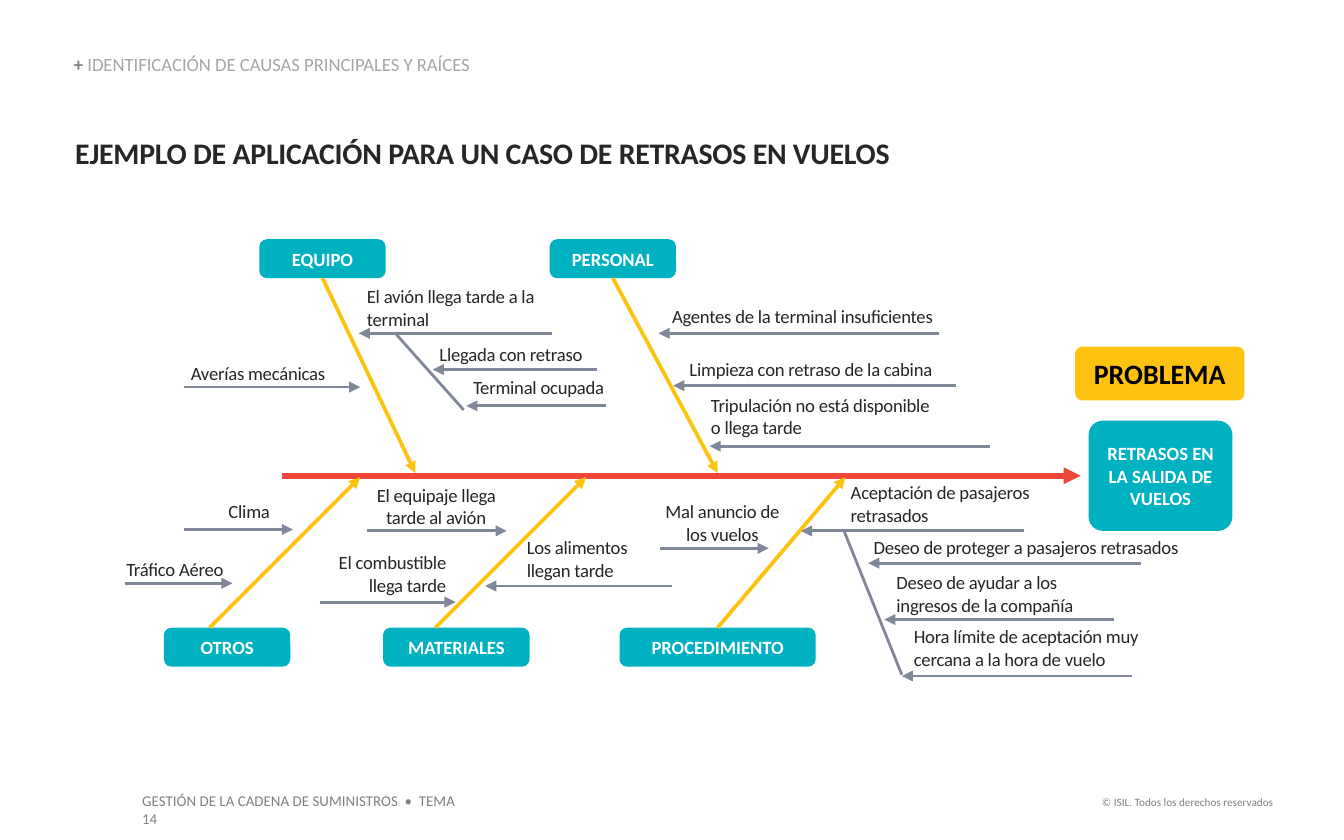
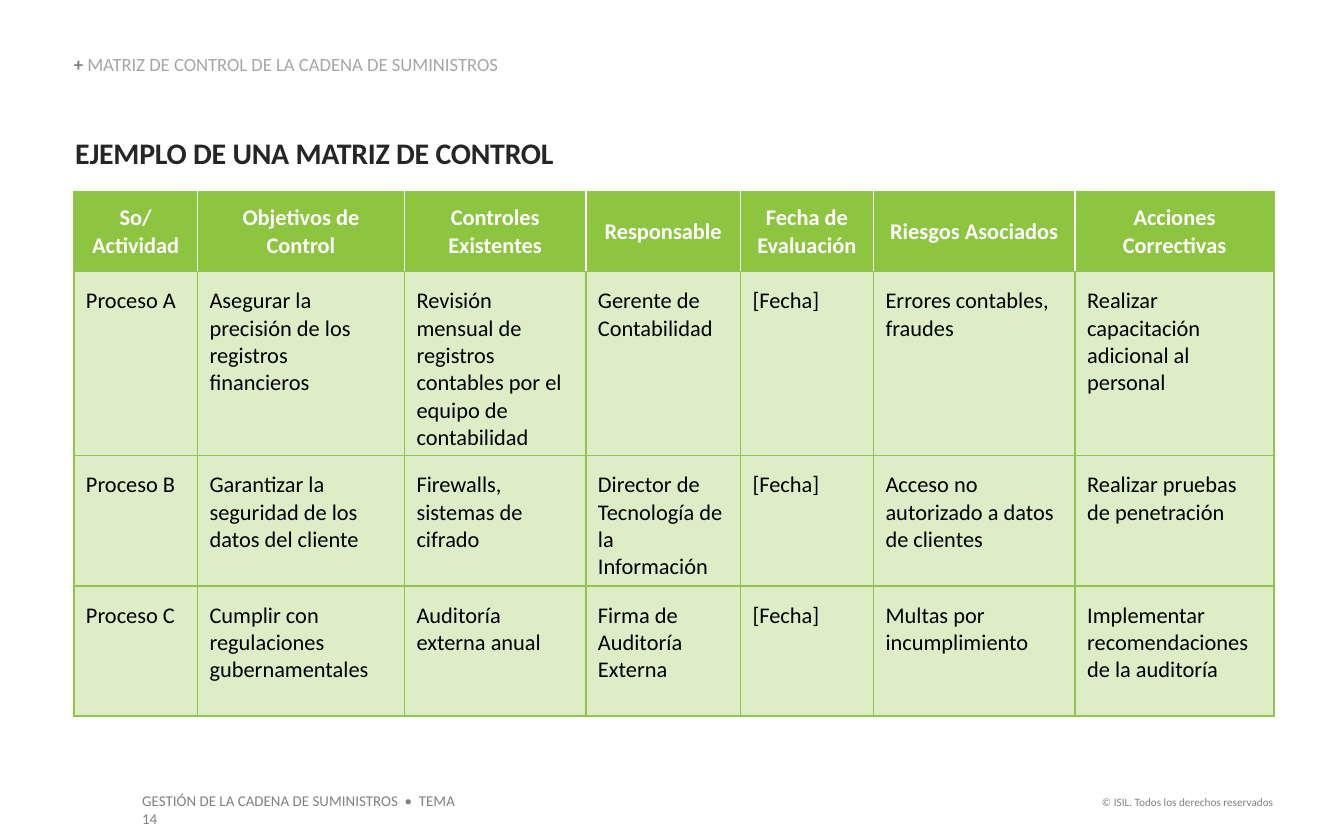
from lxml.etree import SubElement
from pptx import Presentation
from pptx.dml.color import RGBColor
from pptx.enum.shapes import MSO_CONNECTOR, MSO_SHAPE
from pptx.enum.text import MSO_ANCHOR, MSO_AUTO_SIZE, PP_ALIGN
from pptx.oxml.ns import qn
from pptx.util import Inches, Pt

COLORS = {
    "white": "FFFFFF", "black": "000000", "ink": "262626", "gray": "808080",
    "light_gray": "A6A6A6", "teal": "00B1C2", "yellow": "FEC211", "red": "EE4639",
    "slate": "808799", "header": "8EC540", "body": "DDEEC7", "border": "92C34D",
}
FONT = "Calibri"
CELL = Inches(0.1)
COLUMNS, ROWS = 100, 62.5
MARGIN = 5.5
LINE_HEIGHT = 1.7
LEFT, CENTER, RIGHT = PP_ALIGN.LEFT, PP_ALIGN.CENTER, PP_ALIGN.RIGHT

COURSE = "GESTIÓN DE LA CADENA DE SUMINISTROS  •  TEMA 14"
COPYRIGHT = "© ISIL. Todos los derechos reservados"
FISHBONE = ("IDENTIFICACIÓN DE CAUSAS PRINCIPALES Y RAÍCES",
            "EJEMPLO DE APLICACIÓN PARA UN CASO DE RETRASOS EN VUELOS")
MATRIX = ("MATRIZ DE CONTROL DE LA CADENA DE SUMINISTROS",
          "EJEMPLO DE UNA MATRIZ DE CONTROL")

SPINE_ROW = 35.4
SPINE = (21, SPINE_ROW, 80.4, SPINE_ROW)
EFFECTS = [
    ("RETRASOS EN LA SALIDA DE VUELOS", (81, 31.3, 10.7, 8.2), "teal", "white", 10),
    ("PROBLEMA", (80, 25.8, 12.6, 4), "yellow", "black", 15),
]
UPPER_ROW, LOWER_ROW, CATEGORY_HEIGHT = 17.8, 46.7, 2.9
# name, left, row, width, branch start column (None = middle of the side), branch end column
CATEGORIES = [
    ("EQUIPO", 19.3, UPPER_ROW, 9.4, None, 30.9),
    ("PERSONAL", 40.9, UPPER_ROW, 9.4, None, 53.4),
    ("OTROS", 12.2, LOWER_ROW, 9.4, 15.6, 26.8),
    ("MATERIALES", 28.5, LOWER_ROW, 10.9, 32.4, 43.6),
    ("PROCEDIMIENTO", 46.1, LOWER_ROW, 14.6, None, 62.9),
]
CAUSES = [
    (["Averías mecánicas"], LEFT, (14.1, 26.9, 13.9), (13.7, 26.8, 28.8)),
    (["El avión llega tarde a la terminal"], LEFT, (27.2, 21.2, 13.9), (41.1, 26.7, 24.8)),
    (["Llegada con retraso"], LEFT, (32.6, 25.5, 13.9), (44.4, 32.2, 27.5)),
    (["Terminal ocupada"], LEFT, (35.1, 28, 13.9), (45.1, 34.7, 30.2)),
    (["Agentes de la terminal insuficientes"], LEFT, (49.9, 22.7, 20.8), (69.9, 49, 24.8)),
    (["Limpieza con retraso de la cabina"], LEFT, (51.2, 26.6, 20.8), (71.1, 50.1, 28.7)),
    (["Tripulación no está disponible", "o llega tarde"], LEFT,
     (52.8, 29.3, 20.8), (73.7, 52.8, 33.2)),
    (["Clima"], LEFT, (16.9, 37.2, 4.1), (13.7, 21.8, 39.4)),
    (["Tráfico Aéreo"], LEFT, (9.3, 41.5, 7.6), (9.3, 17.3, 43.4)),
    (["El equipaje llega tarde al avión"], CENTER, (27.7, 36, 9.4), (27.3, 37.7, 39.5)),
    (["El combustible", "llega tarde"], RIGHT, (23.8, 41, 9.4), (23.8, 33.9, 44.8)),
    (["Los alimentos", "llegan tarde"], LEFT, (39.1, 39.9, 9.4), (50, 36.1, 43.6)),
    (["Mal anuncio de", "los vuelos"], CENTER, (49, 37.2, 9.4), (49.1, 57.2, 40.8)),
    (["Aceptación de pasajeros", "retrasados"], LEFT, (63.2, 35.8, 15.8), (76.2, 59.6, 39.5)),
    (["Deseo de proteger a pasajeros retrasados"], LEFT,
     (64.9, 39.9, 23.9), (84.9, 64.6, 41.9)),
    (["Deseo de ayudar a los ingresos de la compañía"], LEFT,
     (66.6, 42.5, 14.5), (82.9, 65.8, 46.1)),
    (["Hora límite de aceptación muy cercana a la hora de vuelo"], LEFT,
     (67.9, 46.5, 17.7), (84.2, 67.1, 50.3)),
]
SUB_BRANCHES = [(62.8, 39.5, 67.1, 50.2), (29.5, 24.9, 34.5, 30.5)]

TABLE_COLUMNS = [9.2, 15.4, 13.5, 11.5, 9.9, 15, 14.8]
TABLE_ROWS = [5.9, 13.6, 9.7, 9.7]
TABLE = [
    [["So/", "Actividad"], "Objetivos de Control", "Controles Existentes", "Responsable",
     "Fecha de Evaluación", "Riesgos Asociados", "Acciones Correctivas"],
    ["Proceso A", "Asegurar la precisión de los registros financieros",
     "Revisión mensual de registros contables por el equipo de contabilidad",
     "Gerente de Contabilidad", "[Fecha]", "Errores contables, fraudes",
     "Realizar capacitación adicional al personal"],
    ["Proceso B", "Garantizar la seguridad de los datos del cliente",
     "Firewalls, sistemas de cifrado", "Director de Tecnología de la Información",
     "[Fecha]", "Acceso no autorizado a datos de clientes",
     "Realizar pruebas de penetración"],
    ["Proceso C", "Cumplir con regulaciones gubernamentales", "Auditoría externa anual",
     "Firma de Auditoría Externa", "[Fecha]", "Multas por incumplimiento",
     "Implementar recomendaciones de la auditoría"],
]


def grid(*values):
    return [round(value * CELL) for value in values]


def rgb(name):
    return RGBColor.from_string(COLORS[name])


def write(frame, lines, size=10, color="ink", bold=False, align=LEFT, spacing=None,
          indent=0, line_spacing=None):
    lines = [lines] if isinstance(lines, str) else lines
    for index, line in enumerate(lines):
        paragraph = frame.paragraphs[0] if index == 0 else frame.add_paragraph()
        paragraph.alignment = align
        if line_spacing:
            paragraph.line_spacing = line_spacing
        if indent:
            properties = paragraph._p.get_or_add_pPr()
            properties.set("marL", str(Inches(indent)))
            properties.set("indent", "0")
        pieces = [(line, color, bold)] if isinstance(line, str) else line
        for text, run_color, run_bold in pieces:
            run = paragraph.add_run()
            run.text = text
            run.font.name, run.font.size, run.font.bold = FONT, Pt(size), run_bold
            run.font.color.rgb = rgb(run_color)
            if spacing:
                run._r.get_or_add_rPr().set("spc", str(round(spacing * 100)))


def set_frame(frame, anchor=MSO_ANCHOR.TOP, inset=True):
    frame.word_wrap = True
    frame.auto_size = MSO_AUTO_SIZE.SHAPE_TO_FIT_TEXT
    frame.vertical_anchor = anchor
    if not inset:
        frame.margin_left = frame.margin_top = frame.margin_right = frame.margin_bottom = 0


def add_text(slide, box, lines, anchor=MSO_ANCHOR.TOP, inset=False, **text_format):
    frame = slide.shapes.add_textbox(*grid(*box)).text_frame
    set_frame(frame, anchor, inset)
    write(frame, lines, **text_format)


def add_box(slide, box, text, fill="teal", color="white", size=10, corner=0.19):
    shape = slide.shapes.add_shape(MSO_SHAPE.ROUNDED_RECTANGLE, *grid(*box))
    shape.adjustments[0] = corner
    shape.shadow.inherit = False
    shape.fill.solid()
    shape.fill.fore_color.rgb = rgb(fill)
    shape.line.fill.background()
    shape.text_frame.word_wrap = True
    shape.text_frame.vertical_anchor = MSO_ANCHOR.MIDDLE
    write(shape.text_frame, text, size=size, color=color, bold=True, align=CENTER)
    return shape


def add_line(slide, ends, color="slate", width=1.5, arrow=True):
    connector = slide.shapes.add_connector(MSO_CONNECTOR.STRAIGHT, *grid(*ends))
    connector.line.color.rgb = rgb(color)
    connector.line.width = Pt(width)
    if arrow:
        SubElement(connector.line._get_or_add_ln(), qn("a:tailEnd"), type="triangle")
    SubElement(connector._element.spPr, qn("a:effectLst"))
    return connector


def add_slide(presentation, section, heading):
    slide = presentation.slides.add_slide(presentation.slide_layouts[5])
    title = slide.shapes.title
    title.left, title.top, title.width, title.height = grid(MARGIN, 10, 85, 2.7)
    set_frame(title.text_frame, inset=False)
    write(title.text_frame, heading, size=16, bold=True, spacing=-0.1, indent=0.01)
    add_text(slide, (MARGIN, 4.1, 46.5, 1.5),
             [[("+ ", "gray", True), (section, "light_gray", False)]],
             anchor=MSO_ANCHOR.BOTTOM, line_spacing=0.9)
    add_text(slide, (78.8, 58.7, 16.9, 2), COPYRIGHT, inset=True, size=6, color="gray",
             align=RIGHT)
    add_text(slide, (9.6, 58.4, 26, 2.4), COURSE, inset=True, size=8, color="gray")
    return slide


def add_category(slide, name, left, row, width, start, end):
    box = add_box(slide, (left, row, width, CATEGORY_HEIGHT), name)
    upper = row < SPINE_ROW
    edge = row + CATEGORY_HEIGHT if upper else row
    tip = SPINE_ROW + (-0.2 if upper else 0.1)
    middle = left + width / 2
    branch = add_line(slide, (start or middle, edge, end, tip), "yellow", 2)
    if start is None:
        branch.begin_connect(box, 2 if upper else 0)


def build_fishbone(presentation):
    slide = add_slide(presentation, *FISHBONE)
    add_line(slide, SPINE, "red", 3)
    for category in CATEGORIES:
        add_category(slide, *category)
    for lines, align, (left, top, width), (start, end, row) in CAUSES:
        add_text(slide, (left, top, width, LINE_HEIGHT * len(lines)), lines, align=align,
                 spacing=-0.1, indent=0.01)
        add_line(slide, (start, row, end, row))
    for ends in SUB_BRANCHES:
        add_line(slide, ends, arrow=False)
    for text, box, fill, color, size in EFFECTS:
        add_box(slide, box, text, fill, color, size, corner=0.13)


def set_borders(cell, **sides):
    properties = cell._tc.get_or_add_tcPr()
    for side in "LRTB":
        line = SubElement(properties, qn("a:ln" + side), w=str(Pt(1)))
        fill = SubElement(line, qn("a:solidFill"))
        SubElement(fill, qn("a:srgbClr"), val=COLORS[sides.get(side, "border")])


def build_matrix(presentation):
    slide = add_slide(presentation, *MATRIX)
    box = grid(MARGIN, 14.3, sum(TABLE_COLUMNS), sum(TABLE_ROWS))
    table = slide.shapes.add_table(len(TABLE), len(TABLE_COLUMNS), *box).table
    for column, width in zip(table.columns, grid(*TABLE_COLUMNS)):
        column.width = width
    for row, height in zip(table.rows, grid(*TABLE_ROWS)):
        row.height = height
    last = len(TABLE_COLUMNS) - 1
    for row_index, texts in enumerate(TABLE):
        header = row_index == 0
        for column_index, text in enumerate(texts):
            cell = table.cell(row_index, column_index)
            set_borders(cell, L="white" if header and column_index > 0 else "border",
                        R="white" if header and column_index < last else "border")
            cell.fill.solid()
            cell.fill.fore_color.rgb = rgb("header" if header else "body")
            cell.margin_left = cell.margin_right = Inches(0.09)
            cell.margin_top = Inches(0.05 if header else 0.12)
            cell.margin_bottom = Inches(0.05)
            cell.vertical_anchor = MSO_ANCHOR.MIDDLE if header else MSO_ANCHOR.TOP
            write(cell.text_frame, text, size=12, color="white" if header else "black",
                  bold=header, align=CENTER if header else LEFT)


def main():
    presentation = Presentation()
    presentation.slide_width, presentation.slide_height = grid(COLUMNS, ROWS)
    build_fishbone(presentation)
    build_matrix(presentation)
    presentation.save("out.pptx")


if __name__ == "__main__":
    main()
